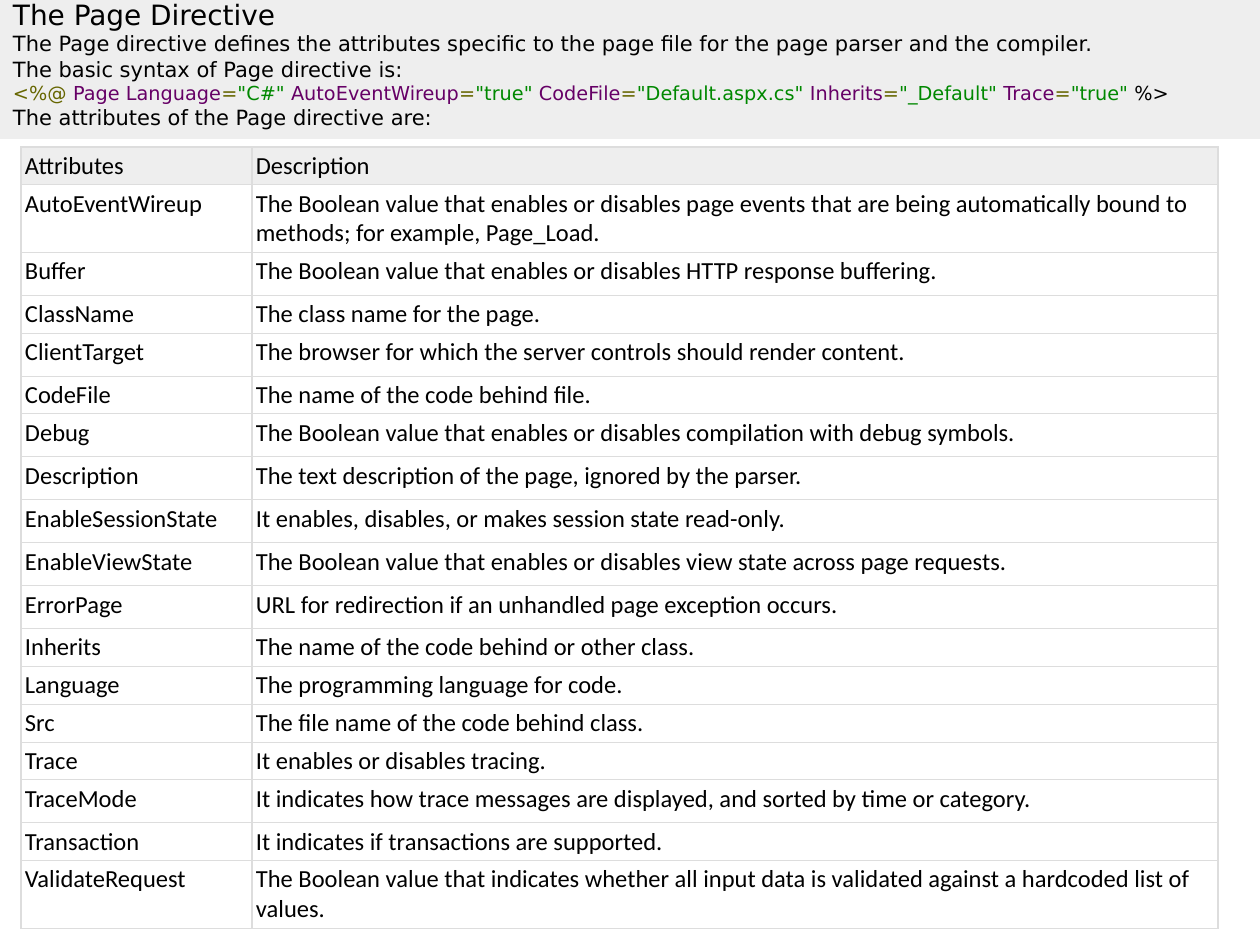
from lxml.etree import SubElement
from pptx import Presentation
from pptx.dml.color import RGBColor
from pptx.enum.shapes import MSO_SHAPE as Shape
from pptx.enum.text import MSO_ANCHOR as Anchor, PP_ALIGN as Align
from pptx.oxml.ns import qn
from pptx.util import Pt

SCALE = 914400 / 126
SINGLE, ROOMY, DOUBLE = 35, 43, 62
BLACK, GREY, BORDER = "000000", "EEEEEE", "DDDDDD"
OLIVE, PURPLE, GREEN = "666600", "660066", "008800"

ATTRIBUTES = [
    (SINGLE, "Attributes", "Description"),
    (DOUBLE, "AutoEventWireup", "The Boolean value that enables or disables page events that are "
     "being automatically bound to methods; for example, Page_Load."),
    (ROOMY, "Buffer", "The Boolean value that enables or disables HTTP response buffering."),
    (SINGLE, "ClassName", "The class name for the page."),
    (ROOMY, "ClientTarget", "The browser for which the server controls should render content."),
    (SINGLE, "CodeFile", "The name of the code behind file."),
    (ROOMY, "Debug", "The Boolean value that enables or disables compilation with debug symbols."),
    (ROOMY, "Description", "The text description of the page, ignored by the parser."),
    (ROOMY, "EnableSessionState", "It enables, disables, or makes session state read-only."),
    (ROOMY, "EnableViewState",
     "The Boolean value that enables or disables view state across page requests."),
    (ROOMY, "ErrorPage", "URL for redirection if an unhandled page exception occurs."),
    (SINGLE, "Inherits", "The name of the code behind or other class."),
    (SINGLE, "Language", "The programming language for code."),
    (SINGLE, "Src", "The file name of the code behind class."),
    (SINGLE, "Trace", "It enables or disables tracing."),
    (ROOMY, "TraceMode",
     "It indicates how trace messages are displayed, and sorted by time or category."),
    (SINGLE, "Transaction", "It indicates if transactions are supported."),
    (DOUBLE, "ValidateRequest", "The Boolean value that indicates whether all input data is "
     "validated against a hardcoded list of values."),
]

SETTINGS = [("Page Language", '"C#" '), ("AutoEventWireup", '"true" '),
            ("CodeFile", '"Default.aspx.cs" '), ("Inherits", '"_Default" '), ("Trace", '"true"')]


def px(length):
    """Turn pixels into EMU."""
    return round(length * SCALE)


def color(value):
    """Turn a hex string into a colour."""
    return RGBColor.from_string(value)


def set_font(font, name, size):
    """Set a plain black font."""
    font.name, font.size, font.bold = name, Pt(size), False
    font.color.rgb = color(BLACK)


def set_insets(part, left, top, right, bottom):
    """Set the inner margins of a cell or text frame."""
    part.margin_left, part.margin_top = px(left), px(top)
    part.margin_right, part.margin_bottom = px(right), px(bottom)


def syntax_runs():
    """List the text and colour of each piece of the directive."""
    runs = [("<%@ ", OLIVE)]
    for name, value in SETTINGS:
        runs += [(name, PURPLE), ("=", OLIVE), (value, GREEN)]
    return runs + [(" %>", BLACK)]


def add_intro(slide):
    """Add the grey heading band with the directive syntax."""
    band = slide.shapes.add_shape(Shape.RECTANGLE, 0, 0, px(1281), px(139))
    band.shadow.inherit = False
    band.fill.solid()
    band.fill.fore_color.rgb = color(GREY)
    band.line.fill.background()
    frame = band.text_frame
    frame.word_wrap = True
    frame.vertical_anchor = Anchor.MIDDLE
    set_insets(frame, 13, -6, 13, 6)
    lines = [
        (16, [("The Page Directive", BLACK)]),
        (12, [("The Page directive defines the attributes specific to the page file "
               "for the page parser and the compiler.", BLACK)]),
        (12, [("The basic syntax of Page directive is:", BLACK)]),
        (11, syntax_runs()),
        (12, [("The attributes of the Page directive are:", BLACK)]),
    ]
    for index, (size, runs) in enumerate(lines):
        line = frame.add_paragraph() if index else frame.paragraphs[0]
        line.alignment = Align.JUSTIFY
        set_font(line.font, "DejaVu Sans", size)
        for text, shade in runs:
            piece = line.add_run()
            piece.text = text
            piece.font.color.rgb = color(shade)


def add_borders(cell):
    """Draw thin lines on all four sides of a cell."""
    properties = cell._tc.get_or_add_tcPr()
    for side in ("a:lnL", "a:lnR", "a:lnT", "a:lnB"):
        edge = SubElement(properties, qn(side), w=str(Pt(0.75)))
        fill = SubElement(edge, qn("a:solidFill"))
        SubElement(fill, qn("a:srgbClr"), val=BORDER)


def fill_cell(cell, text, is_header):
    """Write and style one table cell."""
    cell.text = text
    set_font(cell.text_frame.paragraphs[0].font, "Calibri", 14)
    set_insets(cell, 4, 4, 4, 4)
    add_borders(cell)
    if is_header:
        cell.fill.solid()
        cell.fill.fore_color.rgb = color(GREY)
    else:
        cell.fill.background()


def add_attributes(slide):
    """Add the table of directive attributes."""
    height = sum(row[0] for row in ATTRIBUTES)
    table = slide.shapes.add_table(len(ATTRIBUTES), 2, px(21), px(147),
                                   px(1197), px(height)).table
    table.first_row = table.horz_banding = False
    for column, width in zip(table.columns, (231, 966)):
        column.width = px(width)
    for index, (row_height, *texts) in enumerate(ATTRIBUTES):
        table.rows[index].height = px(row_height)
        for cell, text in zip(table.rows[index].cells, texts):
            fill_cell(cell, text, index == 0)


def main():
    """Build and save the slide."""
    deck = Presentation()
    deck.slide_width, deck.slide_height = px(1260), px(945)
    slide = deck.slides.add_slide(deck.slide_layouts[6])
    add_attributes(slide)
    add_intro(slide)
    deck.save("out.pptx")


main()
